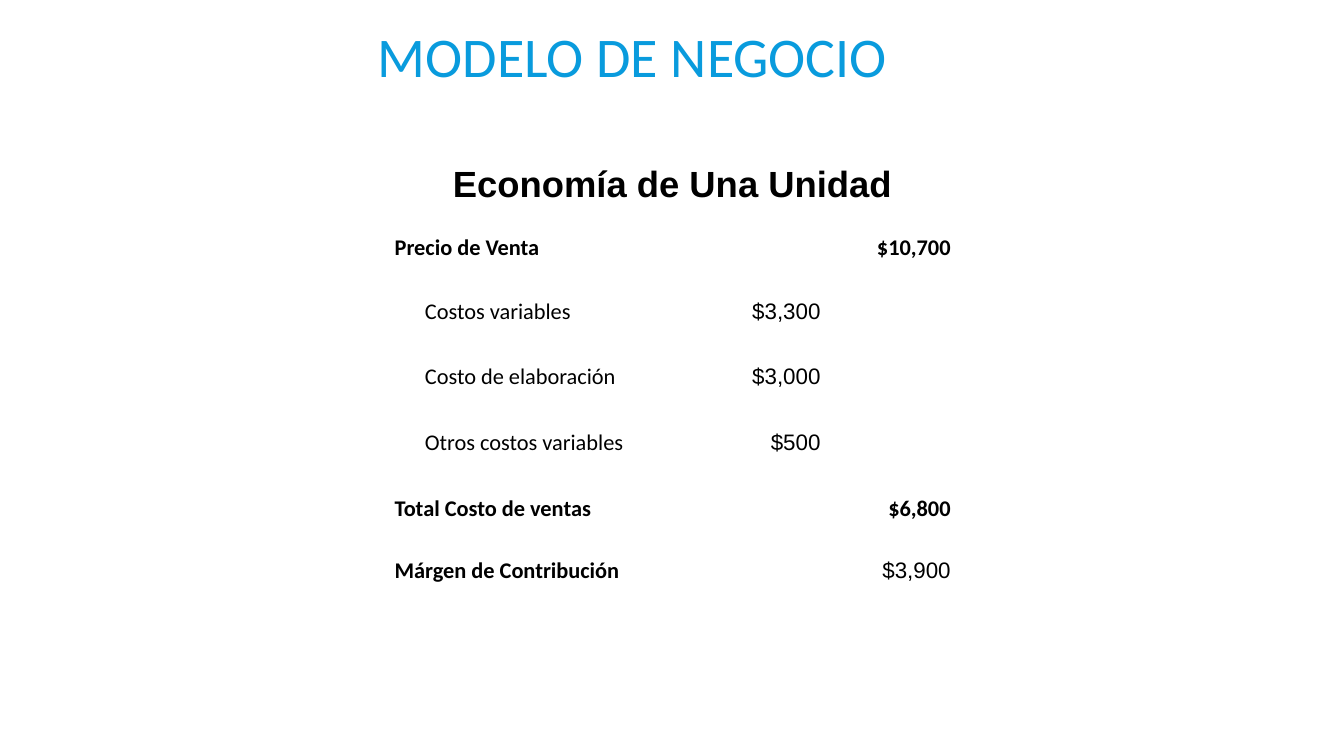
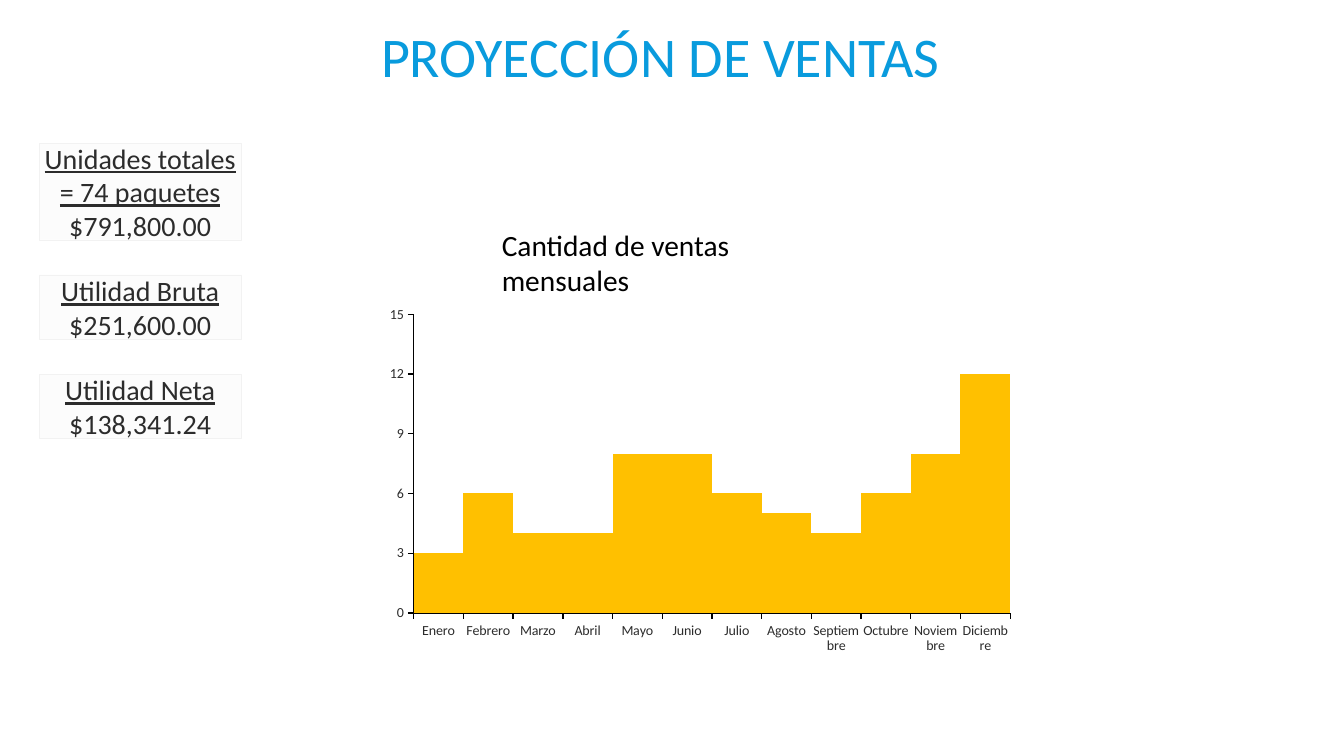
import pptx
import pptx.chart.data
import pptx.dml.color
import pptx.enum.chart
import pptx.enum.shapes
import pptx.enum.text
import pptx.oxml
import pptx.util

Pt = pptx.util.Pt
RGBColor = pptx.dml.color.RGBColor
ALIGN = pptx.enum.text.PP_ALIGN
ANCHOR = pptx.enum.text.MSO_ANCHOR
AUTO = pptx.enum.text.MSO_AUTO_SIZE
SHAPE = pptx.enum.shapes.MSO_SHAPE

# Shared style
BLUE = RGBColor(0x09, 0x9B, 0xDD)
AMBER = RGBColor(0xFF, 0xC0, 0x00)
BLACK = RGBColor(0x00, 0x00, 0x00)
WHITE = RGBColor(0xFF, 0xFF, 0xFF)
INK = RGBColor(0x2C, 0x2C, 0x2C)
PALE = RGBColor(0xFC, 0xFC, 0xFC)
EDGE = RGBColor(0xF2, 0xF2, 0xF2)
BODY_FONT = "Calibri"
FIGURE_FONT = "Arial"
INSET = 3.6

# Unit economics: label, inner amount, outer amount
ECONOMY = [
    ("Precio de Venta", "", "$10,700"),
    ("Costos variables", "$3,300", ""),
    ("Costo de elaboración", "$3,000", ""),
    ("Otros costos variables", "$500", ""),
    ("Total Costo de ventas", "", "$6,800"),
    ("Márgen de Contribución", "", "$3,900"),
]
COLUMN_WIDTHS = (231.6, 74, 93)
ROW_HEIGHTS = (44.6, 44.6, 47.5, 44.6, 49.7, 44.6, 44.6)

# Monthly sales
SALES = {
    "Enero": 3, "Febrero": 6, "Marzo": 4, "Abril": 4, "Mayo": 8, "Junio": 8,
    "Julio": 6, "Agosto": 5, "Septiembre": 4, "Octubre": 6, "Noviembre": 8,
    "Diciembre": 12,
}

# Key figures: heading, amount, box height
FIGURES = [
    ("Unidades totales = 74 paquetes", "$791,800.00", 69),
    ("Utilidad Bruta", "$251,600.00", 46),
    ("Utilidad Neta", "$138,341.24", 46),
]
FIGURE_GAP = 25

PLOT_LAYOUT = (
    '<c:layout xmlns:c="http://schemas.openxmlformats.org/drawingml/2006/chart">'
    '<c:manualLayout><c:layoutTarget val="inner"/>'
    '<c:xMode val="edge"/><c:yMode val="edge"/>'
    '<c:x val="0.055"/><c:y val="0.043"/><c:w val="0.945"/><c:h val="0.85"/>'
    '</c:manualLayout></c:layout>'
)
ALPHA = (
    '<a:alpha xmlns:a="http://schemas.openxmlformats.org/drawingml/2006/main" '
    'val="70000"/>'
)


def add_run(p, text, size, color, font=BODY_FONT, bold=False, underline=False):
    r = p.add_run()
    r.text = text
    r.font.size = Pt(size)
    r.font.name = font
    r.font.color.rgb = color
    r.font.bold = bold
    r.font.underline = underline


def set_insets(tf, inset):
    tf.margin_left = tf.margin_top = tf.margin_right = tf.margin_bottom = Pt(inset)


def add_slide(prs):
    return prs.slides.add_slide(prs.slide_layouts.get_by_name("Title Only"))


def set_title(s, text, left, width):
    title = s.shapes.title
    title.left, title.top = Pt(left), Pt(-16.5)
    title.width, title.height = Pt(width), Pt(119)
    tf = title.text_frame
    tf.auto_size = AUTO.NONE
    tf.vertical_anchor = ANCHOR.MIDDLE
    set_insets(tf, INSET)
    p = tf.paragraphs[0]
    p.alignment = ALIGN.LEFT
    p.line_spacing = 0.85
    add_run(p, text, 40, BLUE)


def fill_cell(cell, text, align=ALIGN.LEFT, size=16, font=BODY_FONT, bold=False,
              indent=0):
    cell.fill.solid()
    cell.fill.fore_color.rgb = WHITE
    cell.vertical_anchor = ANCHOR.MIDDLE
    set_insets(cell, 0.72)
    if text:
        cell.margin_left = Pt(0.72 + indent)
        p = cell.text_frame.paragraphs[0]
        p.alignment = align
        add_run(p, text, size, BLACK, font, bold)


def add_economy_table(s):
    table = s.shapes.add_table(
        len(ROW_HEIGHTS), len(COLUMN_WIDTHS), Pt(281.2), Pt(110),
        Pt(sum(COLUMN_WIDTHS)), Pt(sum(ROW_HEIGHTS))).table
    table.first_row = table.horz_banding = False
    for column, width in zip(table.columns, COLUMN_WIDTHS):
        column.width = Pt(width)
    for row, height in zip(table.rows, ROW_HEIGHTS):
        row.height = Pt(height)

    table.cell(0, 0).merge(table.cell(0, 2))
    fill_cell(table.cell(0, 0), "Economía de Una Unidad", ALIGN.CENTER, 26,
              FIGURE_FONT, True)
    for i, (label, inner, outer) in enumerate(ECONOMY, 1):
        is_detail = bool(inner)
        is_margin = i == len(ECONOMY)
        fill_cell(table.cell(i, 0), label, bold=not is_detail,
                  indent=21.6 if is_detail else 0)
        fill_cell(table.cell(i, 1), inner, ALIGN.RIGHT, font=FIGURE_FONT)
        fill_cell(table.cell(i, 2), outer, ALIGN.RIGHT,
                  font=FIGURE_FONT if is_margin else BODY_FONT,
                  bold=not is_margin)


def add_backdrop_circle(s):
    sp = s.shapes.add_shape(SHAPE.OVAL, Pt(221), Pt(93.6), Pt(552), Pt(552))
    sp.shadow.inherit = False
    sp.line.fill.background()
    sp.fill.solid()
    sp.fill.fore_color.rgb = WHITE
    color = sp._element.spPr.xpath("a:solidFill/a:srgbClr")[0]
    color.append(pptx.oxml.parse_xml(ALPHA))
    # Keep the circle behind the title
    s.shapes.title._element.addprevious(sp._element)


def style_axis(axis):
    axis.major_tick_mark = pptx.enum.chart.XL_TICK_MARK.OUTSIDE
    axis.minor_tick_mark = pptx.enum.chart.XL_TICK_MARK.NONE
    axis.format.line.color.rgb = BLACK
    axis.format.line.width = Pt(1)
    font = axis.tick_labels.font
    font.size = Pt(10)
    font.name = BODY_FONT
    font.color.rgb = INK
    # Horizontal labels, wrapped where needed
    axis._element.xpath("c:txPr/a:bodyPr")[0].set("rot", "0")


def add_sales_chart(s):
    data = pptx.chart.data.CategoryChartData(number_format="0")
    data.categories = list(SALES)
    data.add_series("Series 1", list(SALES.values()))
    chart = s.shapes.add_chart(
        pptx.enum.chart.XL_CHART_TYPE.COLUMN_CLUSTERED,
        Pt(270.7), Pt(213.8), Pt(451.4), Pt(253.4), data).chart
    chart.has_title = chart.has_legend = False
    chart.font.size = Pt(10)
    chart.font.name = "Lato"
    chart.font.color.rgb = INK

    plot = chart.plots[0]
    plot.gap_width = 0
    plot.vary_by_categories = False
    fill = plot.series[0].format.fill
    fill.solid()
    fill.fore_color.rgb = AMBER

    style_axis(chart.category_axis)
    chart.category_axis.tick_label_position = pptx.enum.chart.XL_TICK_LABEL_POSITION.LOW
    axis = chart.value_axis
    style_axis(axis)
    axis.minimum_scale, axis.maximum_scale, axis.major_unit = 0, 15, 3
    axis.tick_labels.number_format = "0"
    axis.tick_labels.number_format_is_linked = False
    axis.major_gridlines.format.line.color.rgb = WHITE
    axis.major_gridlines.format.line.width = Pt(1)

    # Fixed inner plot area
    area = plot._element.getparent()
    for layout in area.xpath("c:layout"):
        area.remove(layout)
    area.insert(0, pptx.oxml.parse_xml(PLOT_LAYOUT))


def add_chart_heading(s, text):
    tf = s.shapes.add_textbox(Pt(354.8), Pt(158.6), Pt(190), Pt(58)).text_frame
    tf.word_wrap = True
    set_insets(tf, INSET)
    add_run(tf.paragraphs[0], text, 21, BLACK)


def add_figure_box(s, top, heading, amount, height):
    sp = s.shapes.add_shape(SHAPE.RECTANGLE, Pt(28), Pt(top), Pt(144.4), Pt(height))
    sp.shadow.inherit = False
    sp.fill.solid()
    sp.fill.fore_color.rgb = PALE
    sp.line.color.rgb = EDGE
    sp.line.width = Pt(0.25)
    tf = sp.text_frame
    tf.word_wrap = True
    tf.auto_size = AUTO.SHAPE_TO_FIT_TEXT
    tf.vertical_anchor = ANCHOR.MIDDLE
    set_insets(tf, 0)
    for p, text in ((tf.paragraphs[0], heading), (tf.add_paragraph(), amount)):
        p.alignment = ALIGN.CENTER
        add_run(p, text, 20, INK, underline=text == heading)


def main():
    prs = pptx.Presentation()
    prs.slide_width, prs.slide_height = Pt(960), Pt(540)

    # Business model
    s = add_slide(prs)
    set_title(s, "MODELO DE NEGOCIO", 266.4, 428)
    add_economy_table(s)

    # Sales projection
    s = add_slide(prs)
    add_backdrop_circle(s)
    set_title(s, "PROYECCIÓN DE VENTAS", 268.6, 456)
    add_sales_chart(s)
    add_chart_heading(s, "Cantidad de ventas mensuales")
    top = 102.3
    for heading, amount, height in FIGURES:
        add_figure_box(s, top, heading, amount, height)
        top += height + FIGURE_GAP

    prs.save("out.pptx")


if __name__ == "__main__":
    main()
